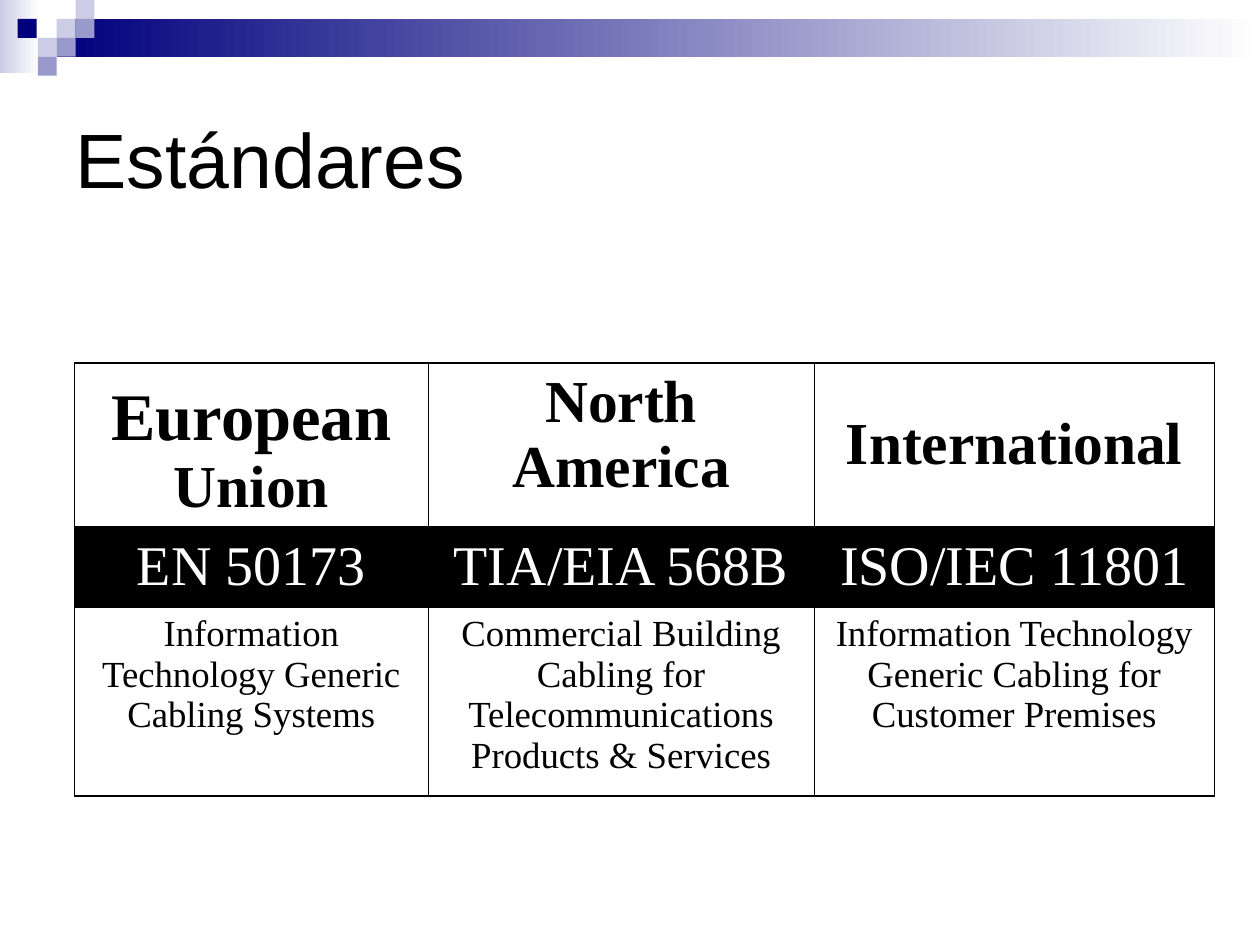
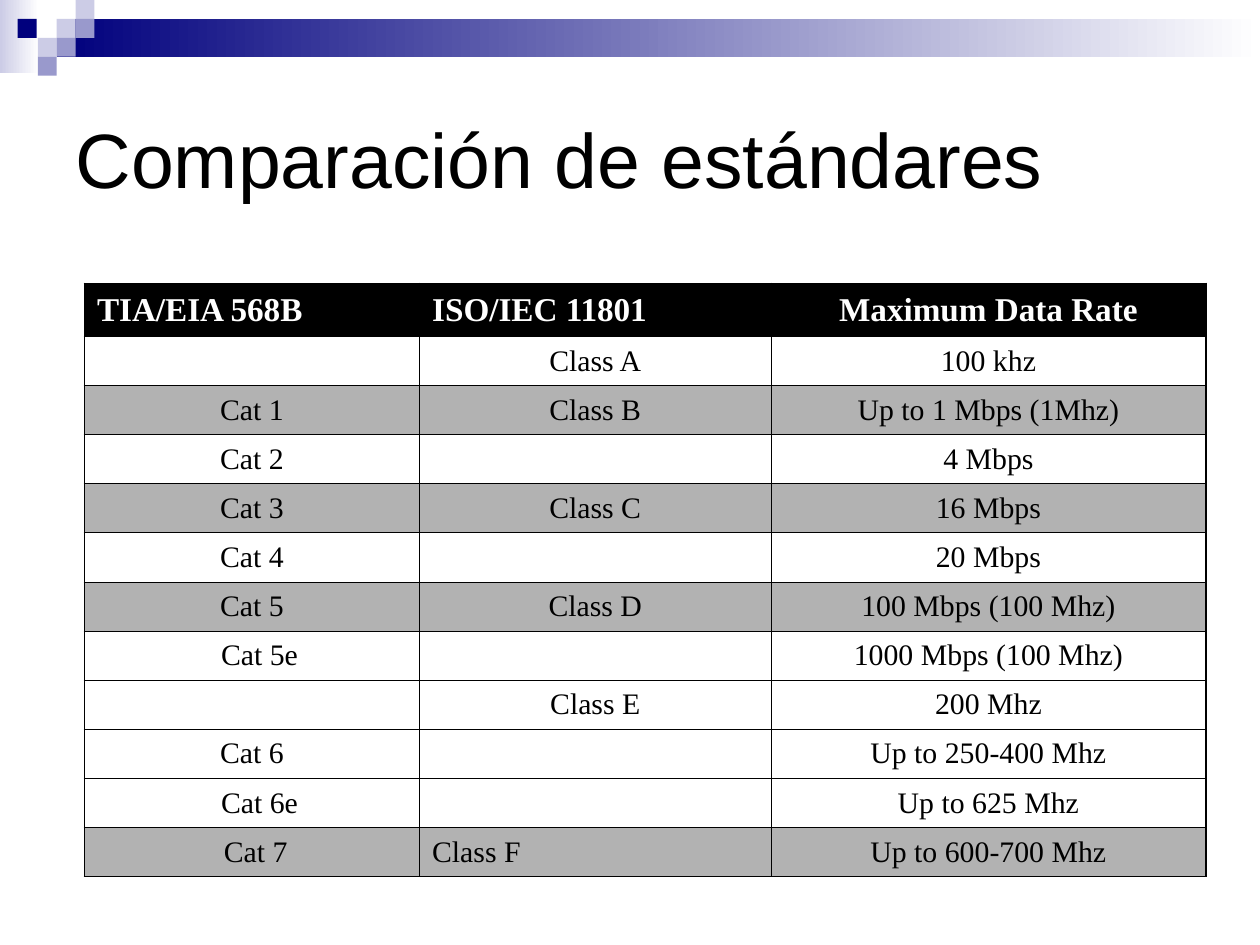
from dataclasses import dataclass

from lxml.etree import SubElement
from pptx import Presentation
from pptx.dml.color import RGBColor
from pptx.enum.shapes import MSO_SHAPE
from pptx.enum.text import MSO_ANCHOR, PP_ALIGN
from pptx.oxml.ns import qn
from pptx.slide import Slide, SlideLayout
from pptx.table import _Cell
from pptx.util import Inches, Pt


@dataclass(frozen=True)
class Theme:
    black: str = "000000"
    white: str = "FFFFFF"
    gray: str = "B2B2B2"
    navy: str = "00007D"
    mid: str = "9999CC"
    pale: str = "CCCCE6"
    sans: str = "Arial"
    serif: str = "Times New Roman"
    title: float = 44
    lead: float = 38
    large: float = 34
    code: float = 32
    note: float = 21
    head: float = 19
    body: float = 17
    thick: float = 1.08
    thin: float = 0.45


@dataclass(frozen=True)
class Block:
    left: float
    top: float
    width: float
    height: float
    color: str
    fade: bool = False


@dataclass(frozen=True)
class Entry:
    text: str
    align: PP_ALIGN = PP_ALIGN.CENTER
    anchor: MSO_ANCHOR = MSO_ANCHOR.MIDDLE
    indent: float = 0
    lead: float = 0


@dataclass(frozen=True)
class Row:
    cells: list[Entry]
    height: float
    size: float
    ink: str
    fill: str = ""
    bold: bool = False


@dataclass(frozen=True)
class Grid:
    left: float
    top: float
    widths: list[float]
    rows: list[Row]


THEME = Theme()
TILE = 0.15
TILES = [
    (0.45, 0.15, THEME.pale),
    (0.6, 0, THEME.pale),
    (0.6, 0.15, THEME.mid),
    (0.3, 0.3, THEME.pale),
    (0.14, 0.15, THEME.navy),
    (0.45, 0.3, THEME.mid),
    (0.3, 0.45, THEME.mid),
]
BLOCKS = [
    Block(0, 0, 0.31, 0.58, THEME.pale, fade=True),
    Block(0.45, 0.15, 9.55, 0.3, THEME.navy, fade=True),
    *(Block(x, y, TILE, TILE, color) for x, y, color in TILES),
]


def rgb(code: str) -> RGBColor:
    return RGBColor.from_string(code)


def draw_band(slide: Slide, layout: SlideLayout) -> None:
    tree = layout.shapes.element
    for place, block in enumerate(BLOCKS, start=2):
        shape = slide.shapes.add_shape(
            MSO_SHAPE.RECTANGLE,
            Inches(block.left),
            Inches(block.top),
            Inches(block.width),
            Inches(block.height),
        )
        shape.shadow.inherit = False
        shape.line.fill.background()
        if block.fade:
            shape.fill.gradient()
            shape.fill.gradient_angle = 0
            for stop, color in zip(shape.fill.gradient_stops, (block.color, THEME.white)):
                stop.color.rgb = rgb(color)
        else:
            shape.fill.solid()
            shape.fill.fore_color.rgb = rgb(block.color)
        tree.insert(place, shape.element)


def draw_title(slide: Slide, text: str) -> None:
    title = slide.shapes.title
    title.left, title.top = Inches(0.5), Inches(0.47)
    title.width, title.height = Inches(9), Inches(1.57)
    frame = title.text_frame
    frame.text = text
    frame.vertical_anchor = MSO_ANCHOR.MIDDLE
    line = frame.paragraphs[0]
    line.alignment = PP_ALIGN.LEFT
    line.font.name = THEME.sans
    line.font.size = Pt(THEME.title)
    line.font.color.rgb = rgb(THEME.black)


def draw_edges(cell: _Cell, outer: dict[str, bool]) -> None:
    props = cell._tc.get_or_add_tcPr()
    for side, edge in outer.items():
        width = Pt(THEME.thick if edge else THEME.thin)
        line = SubElement(props, qn(f"a:ln{side}"), w=str(width))
        fill = SubElement(line, qn("a:solidFill"))
        SubElement(fill, qn("a:srgbClr"), val=THEME.black)


def fill_cell(cell: _Cell, entry: Entry, row: Row) -> None:
    if row.fill:
        cell.fill.solid()
        cell.fill.fore_color.rgb = rgb(row.fill)
    else:
        cell.fill.background()
    cell.text = entry.text
    cell.vertical_anchor = entry.anchor
    cell.margin_left = Inches(0.1 + entry.indent)
    line = cell.text_frame.paragraphs[0]
    line.alignment = entry.align
    line.font.name = THEME.serif
    line.font.size = Pt(row.size)
    line.font.bold = row.bold
    line.font.color.rgb = rgb(row.ink)
    if entry.lead:
        line.runs[0].font.size = Pt(entry.lead)


def draw_grid(slide: Slide, grid: Grid) -> None:
    table = slide.shapes.add_table(
        len(grid.rows),
        len(grid.widths),
        Inches(grid.left),
        Inches(grid.top),
        Inches(sum(grid.widths)),
        Inches(sum(row.height for row in grid.rows)),
    ).table
    table.first_row = table.horz_banding = False
    for column, width in zip(table.columns, grid.widths):
        column.width = Inches(width)
    for y, row in enumerate(grid.rows):
        table.rows[y].height = Inches(row.height)
        for x, entry in enumerate(row.cells):
            cell = table.cell(y, x)
            draw_edges(cell, {
                "L": x == 0,
                "R": x == len(grid.widths) - 1,
                "T": y == 0,
                "B": y == len(grid.rows) - 1,
            })
            fill_cell(cell, entry, row)


NORMS = Grid(0.59, 2.88, [2.81, 3.06, 3.18], [
    Row([
        Entry("European\vUnion", anchor=MSO_ANCHOR.BOTTOM, lead=THEME.lead),
        Entry("North\vAmerica", anchor=MSO_ANCHOR.TOP),
        Entry("International"),
    ], 1.3, THEME.large, THEME.black, bold=True),
    Row(
        [Entry(text) for text in ("EN 50173", "TIA/EIA 568B", "ISO/IEC 11801")],
        0.64, THEME.code, THEME.white, THEME.black,
    ),
    Row([Entry(text, anchor=MSO_ANCHOR.TOP) for text in (
        "Information Technology Generic Cabling Systems",
        "Commercial Building Cabling for Telecommunications Products & Services",
        "Information Technology\vGeneric Cabling for Customer Premises",
    )], 1.5, THEME.note, THEME.black),
])

RATES = [
    ("", "Class A", "100 khz"),
    ("Cat 1", "Class B", "Up to 1 Mbps (1Mhz)"),
    ("Cat 2", "", "4 Mbps"),
    ("Cat 3", "Class C", "16 Mbps"),
    ("Cat 4", "", "20 Mbps"),
    ("Cat 5", "Class D", "100 Mbps (100 Mhz)"),
    ("Cat 5e", "", "1000 Mbps (100 Mhz)"),
    ("", "Class E", "200 Mhz"),
    ("Cat 6", "", "Up to 250-400 Mhz"),
    ("Cat 6e", "", "Up to 625 Mhz"),
    ("Cat 7", "Class F", "Up to 600-700 Mhz"),
]
INDENTS = {"Cat 5e": 0.12, "Cat 6e": 0.12, "Cat 7": 0.06}


def rate_row(texts: tuple[str, str, str]) -> Row:
    cells = [
        Entry(
            text,
            PP_ALIGN.LEFT if text == "Class F" else PP_ALIGN.CENTER,
            indent=INDENTS.get(text, 0),
        )
        for text in texts
    ]
    return Row(cells, 0.39, THEME.body, THEME.black, THEME.gray if all(texts) else "")


SPEEDS = Grid(0.67, 2.25, [2.66, 2.79, 3.45], [
    Row([
        Entry("TIA/EIA 568B", PP_ALIGN.LEFT),
        Entry("ISO/IEC 11801", PP_ALIGN.LEFT),
        Entry("Maximum Data Rate"),
    ], 0.42, THEME.head, THEME.white, THEME.black, bold=True),
    *map(rate_row, RATES),
])


def main() -> None:
    deck = Presentation()
    deck.slide_width, deck.slide_height = Inches(10), Inches(7.5)
    layout = deck.slide_layouts[5]
    pages = [("Estándares", NORMS), ("Comparación de estándares", SPEEDS)]
    for title, grid in pages:
        slide = deck.slides.add_slide(layout)
        draw_title(slide, title)
        draw_grid(slide, grid)
    draw_band(deck.slides[0], layout)
    deck.save("out.pptx")


if __name__ == "__main__":
    main()
